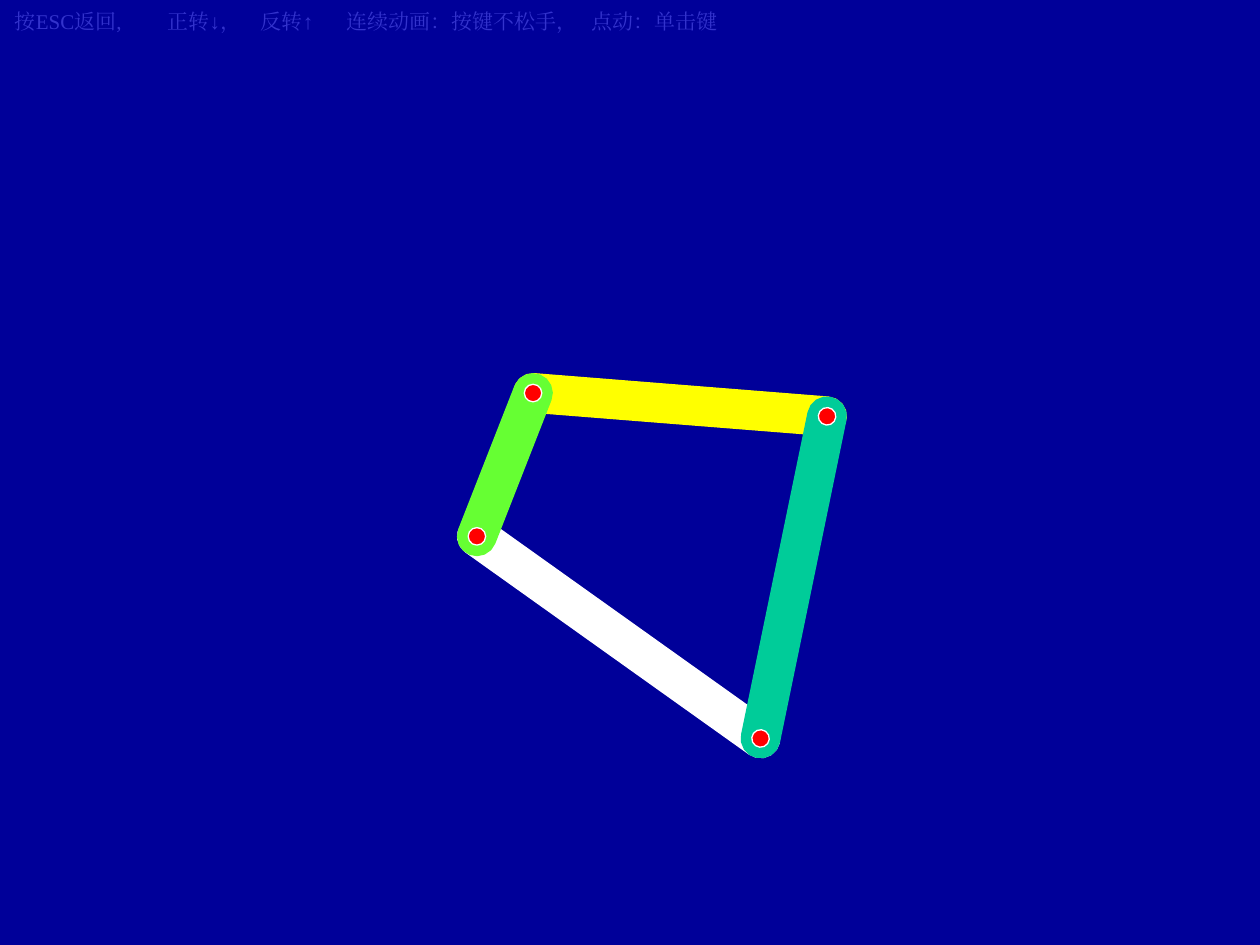
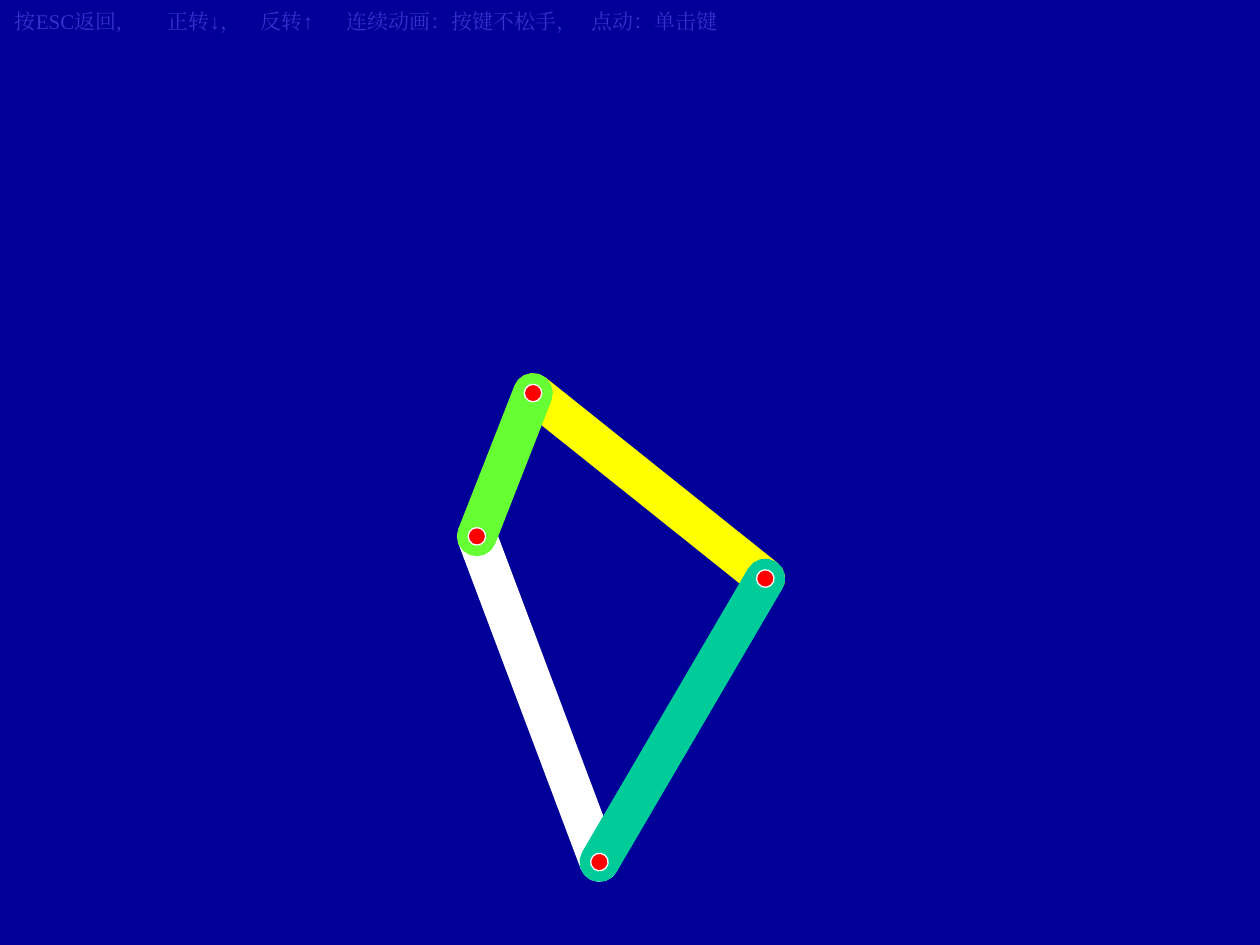
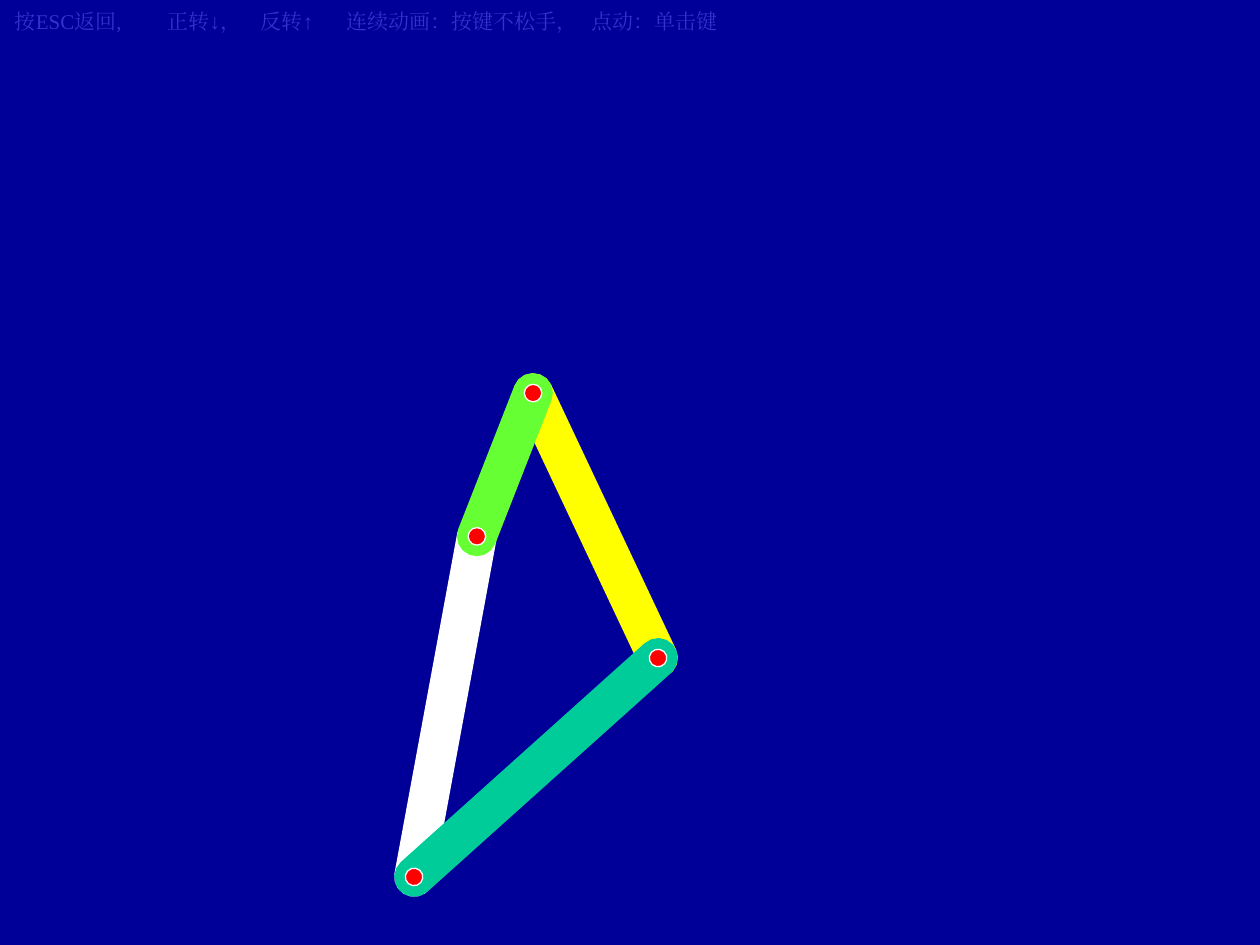
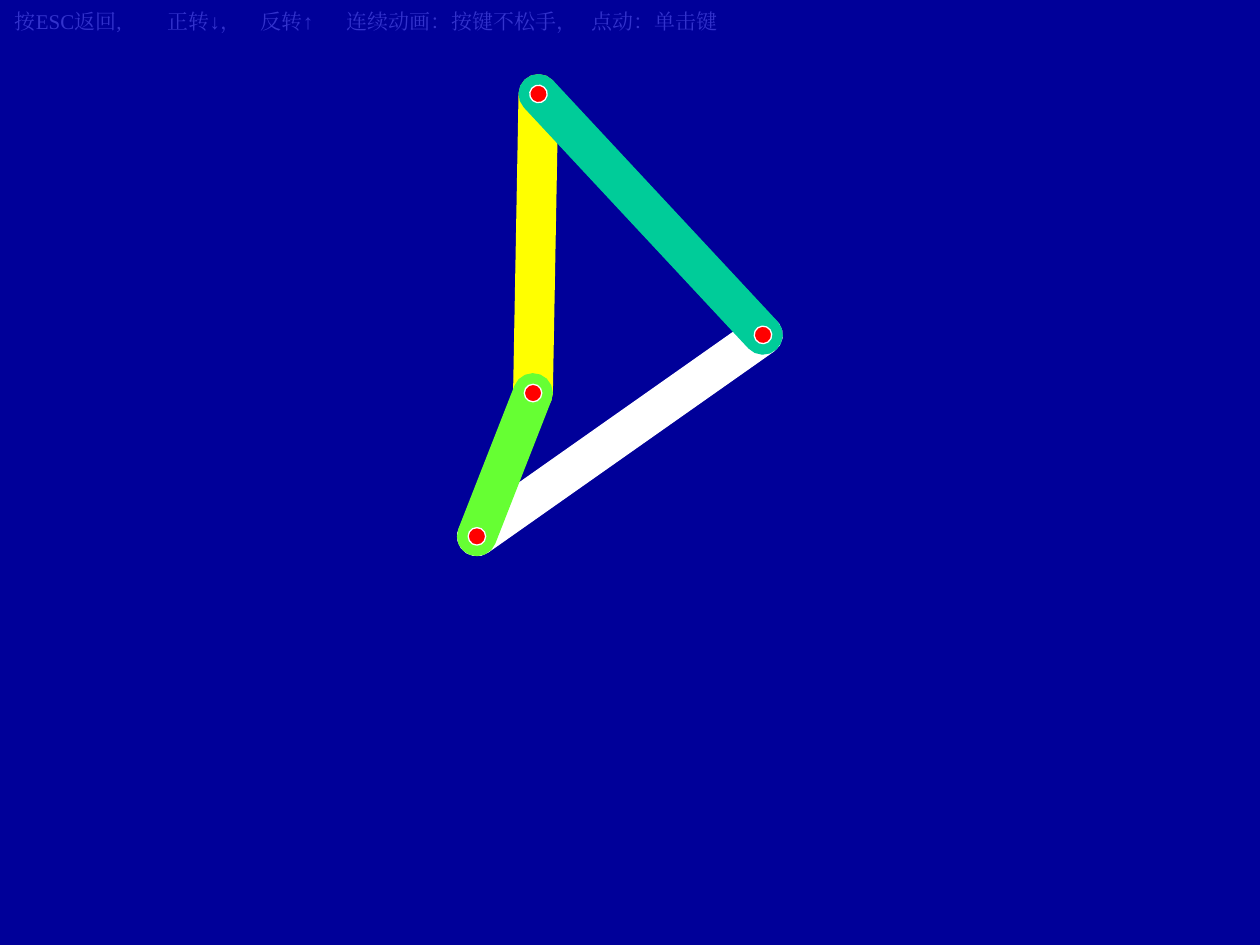
from dataclasses import dataclass
from math import atan2, cos, degrees, dist, pi, radians, sin

from lxml.etree import SubElement
from pptx import Presentation
from pptx.dml.color import RGBColor as RGB
from pptx.enum.shapes import MSO_SHAPE as SHAPE
from pptx.enum.text import MSO_AUTO_SIZE as AUTO_SIZE
from pptx.oxml.ns import qn
from pptx.util import Pt


@dataclass(frozen=True)
class Theme:
    background: RGB = RGB.from_string("000099")
    hint: RGB = RGB.from_string("3333CC")
    frame: RGB = RGB.from_string("FFFFFF")
    coupler: RGB = RGB.from_string("FFFF00")
    rocker: RGB = RGB.from_string("00CC99")
    crank: RGB = RGB.from_string("66FF33")
    pin: RGB = RGB.from_string("FF0000")
    pin_edge: RGB = RGB.from_string("FFFFFF")
    font: str = "Times New Roman"
    hint_size: float = 12
    line_width: float = 0.75


THEME = Theme()

# Linkage geometry, in points
LINK_RADIUS = 11
PIN_SIZE = 10
CAP_STEPS = 8
CRANK_BASE = (272.5, 306.5)
CRANK_END = (304.6, 224.6)

# Direction of each link, in degrees, when its shape is not rotated
FRAME_REST, COUPLER_REST, ROCKER_REST = 0, -31, 66.4

# Each pose: joint of coupler and rocker, joint of rocker and frame
POSES = [
    ((472.6, 237.9), (434.6, 422)),
    ((437.3, 330.6), (342.5, 492.6)),
    ((376, 376), (236.6, 501.1)),
    ((307.7, 53.7), (436, 191.4)),
]

HINTS = ["按ESC返回,", "正转↓，", "反转↑", "连续动画：按键不松手，", "点动：单击键"]
HINT_TABS = [87.4, 140.6, 189.7, 329.7]


def paint(s, fill, edge):
    s.shadow.inherit = False
    s.fill.solid()
    s.fill.fore_color.rgb = fill
    s.line.color.rgb = edge
    s.line.width = Pt(THEME.line_width)


def direction(start, end):
    return degrees(atan2(end[1] - start[1], end[0] - start[0]))


def add_link(shapes, start, end, color, rest):
    """Draw a round-ended bar at its rest direction, then turn it into place."""
    cx, cy = ((a + b) / 2 for a, b in zip(start, end))
    half, angle = dist(start, end) / 2, radians(rest)
    points = []
    for side, turn in ((1, angle), (-1, angle + pi)):
        x = cx + side * half * cos(angle)
        y = cy + side * half * sin(angle)
        for step in range(CAP_STEPS + 1):
            a = turn - pi / 2 + pi * step / CAP_STEPS
            points.append((Pt(x + LINK_RADIUS * cos(a)),
                           Pt(y + LINK_RADIUS * sin(a))))
    outline = shapes.build_freeform(*points[0])
    outline.add_line_segments(points[1:], close=True)
    s = outline.convert_to_shape()
    s.rotation = direction(start, end) - rest
    paint(s, color, color)
    return s.rotation


def add_pin(shapes, center, rotation=0):
    x, y = (c - PIN_SIZE / 2 for c in center)
    s = shapes.add_shape(SHAPE.OVAL, Pt(x), Pt(y), Pt(PIN_SIZE), Pt(PIN_SIZE))
    s.rotation = rotation
    paint(s, THEME.pin, THEME.pin_edge)


def add_crank(shapes):
    group = shapes.add_group_shape().shapes
    add_link(group, CRANK_BASE, CRANK_END, THEME.crank,
             direction(CRANK_BASE, CRANK_END))
    for joint in (CRANK_BASE, CRANK_END):
        add_pin(group, joint)


def add_hint(shapes):
    tf = shapes.add_textbox(Pt(1.4), Pt(1.4), Pt(467.3), Pt(21.6)).text_frame
    tf.word_wrap = True
    tf.auto_size = AUTO_SIZE.SHAPE_TO_FIT_TEXT
    tf.text = "\t".join(HINTS)
    p = tf.paragraphs[0]
    tabs = SubElement(p._p.get_or_add_pPr(), qn("a:tabLst"))
    for stop in HINT_TABS:
        SubElement(tabs, qn("a:tab"), pos=str(Pt(stop)), algn="l")
    for r in p.runs:
        r.font.size = Pt(THEME.hint_size)
        r.font.name = THEME.font
        r.font.color.rgb = THEME.hint
        SubElement(r._r.get_or_add_rPr(), qn("a:ea"), typeface=THEME.font)


def add_pose(prs, coupler_joint, frame_joint):
    slide = prs.slides.add_slide(prs.slide_layouts[6])
    slide.background.fill.solid()
    slide.background.fill.fore_color.rgb = THEME.background
    shapes = slide.shapes

    # Moving links and their pins
    frame_turn = add_link(shapes, CRANK_BASE, frame_joint, THEME.frame, FRAME_REST)
    add_link(shapes, CRANK_END, coupler_joint, THEME.coupler, COUPLER_REST)
    rocker_turn = add_link(shapes, coupler_joint, frame_joint, THEME.rocker,
                           ROCKER_REST)
    add_pin(shapes, coupler_joint, rocker_turn)
    add_pin(shapes, frame_joint, frame_turn)

    # Parts shared by every pose
    add_crank(shapes)
    add_hint(shapes)


def main():
    prs = Presentation()
    prs.slide_width, prs.slide_height = Pt(720), Pt(540)
    for coupler_joint, frame_joint in POSES:
        add_pose(prs, coupler_joint, frame_joint)
    prs.save("out.pptx")


if __name__ == "__main__":
    main()
